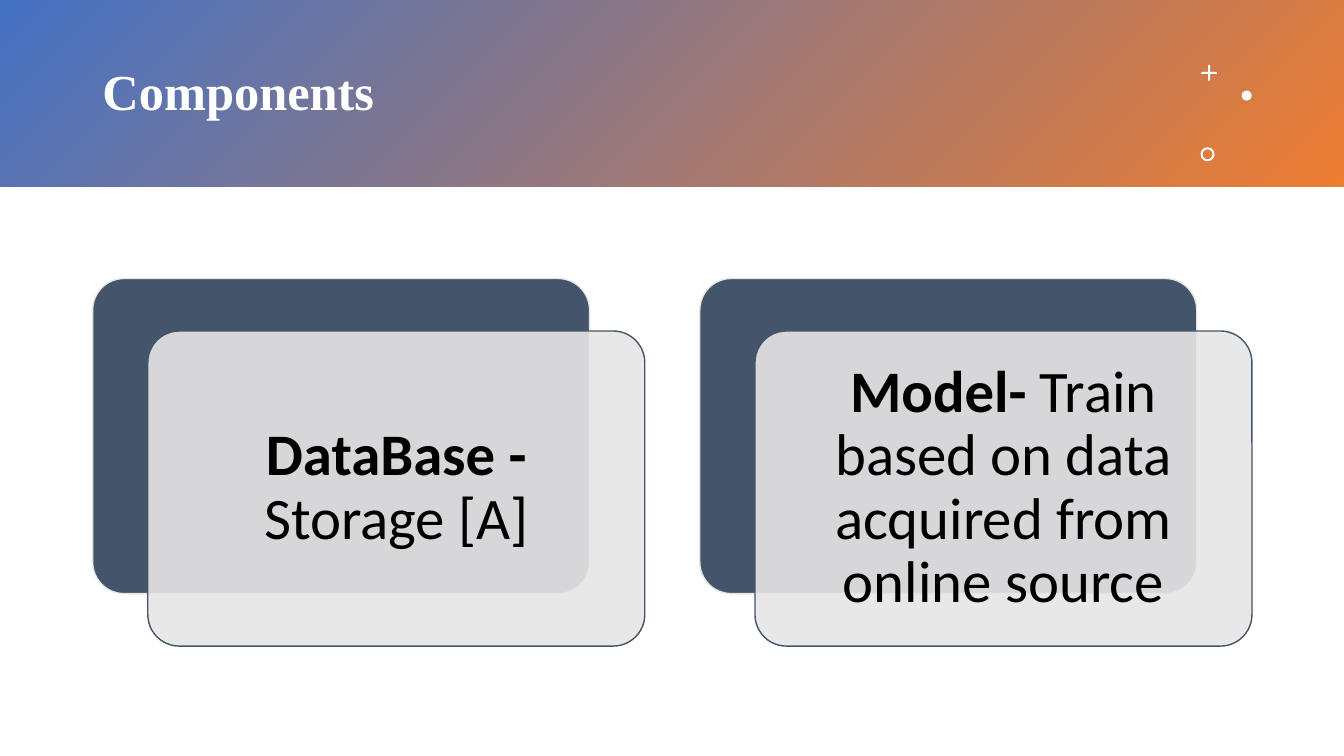
from pptx import Presentation
from pptx.dml.color import RGBColor
from pptx.enum.shapes import MSO_SHAPE
from pptx.enum.text import MSO_ANCHOR, PP_ALIGN
from pptx.oxml.ns import qn
from pptx.util import Pt
from lxml import etree

RECTANGLE, ROUNDED = MSO_SHAPE.RECTANGLE, MSO_SHAPE.ROUNDED_RECTANGLE
CROSS, OVAL, DONUT = MSO_SHAPE.CROSS, MSO_SHAPE.OVAL, MSO_SHAPE.DONUT
MIDDLE = MSO_ANCHOR.MIDDLE
LEFT, CENTER = PP_ALIGN.LEFT, PP_ALIGN.CENTER

SLIDE_WIDTH, SLIDE_HEIGHT = 960, 540
WHITE, BLACK, SLATE, SILVER = "FFFFFF", "000000", "44546A", "E7E6E6"
BAND_COLORS = ("4472C4", "ED7D31")
COMPONENTS = [
    ("DataBase - ", "Storage [A]"),
    ("Model- ", "Train based on data acquired from online source"),
]


def color(hex_value):
    """Return the RGB colour for a hex string."""
    return RGBColor.from_string(hex_value)


def add_box(slide, kind, box, fill=None, line=None, adjustment=None):
    """Add a flat preset shape in a box of left, top, width, height."""
    shape = slide.shapes.add_shape(kind, *(Pt(length) for length in box))
    shape.shadow.inherit = False
    if fill:
        shape.fill.solid()
        shape.fill.fore_color.rgb = color(fill)
    if line:
        shape.line.color.rgb = color(line)
        shape.line.width = Pt(1)
    else:
        shape.line.fill.background()
    if adjustment is not None:
        shape.adjustments[0] = adjustment
    return shape


def set_opacity(shape, percent):
    """Make the solid fill of a shape partly transparent."""
    solid = shape.element.spPr.find(qn("a:solidFill"))
    etree.SubElement(solid[0], qn("a:alpha"), val=str(percent * 1000))


def format_paragraph(paragraph, font_name, size, hex_value, alignment):
    """Set the shared font and spacing of a paragraph."""
    paragraph.alignment = alignment
    paragraph.line_spacing = 0.9
    paragraph.font.name = font_name
    paragraph.font.size = Pt(size)
    paragraph.font.color.rgb = color(hex_value)


def add_header(slide, box, text):
    """Place the gradient band, the title and the ornaments."""
    left, top, width, height = box
    band = add_box(slide, RECTANGLE, box)
    band.fill.gradient()
    band.fill.gradient_angle = 315
    for stop, hex_value in zip(band.fill.gradient_stops, BAND_COLORS):
        stop.color.rgb = color(hex_value)

    title = slide.shapes.title
    band.element.addnext(title.element)
    title.left, title.top = Pt(left + 66), Pt(top + 24)
    title.width, title.height = Pt(774), Pt(86)
    title.text_frame.text = text
    title.text_frame.vertical_anchor = MIDDLE
    paragraph = title.text_frame.paragraphs[0]
    format_paragraph(paragraph, "Times New Roman", 36, WHITE, LEFT)
    paragraph.font.bold = True

    ornaments = [
        (CROSS, 101.8, 46.6, 11, 0.44),
        (OVAL, 73.1, 64.7, 7.2, None),
        (DONUT, 102.5, 105.2, 10, 0.14),
    ]
    for kind, from_right, from_top, size, adjustment in ornaments:
        place = (left + width - from_right, top + from_top, size, size)
        add_box(slide, kind, place, WHITE, adjustment=adjustment)


def add_component(slide, box, name, description):
    """Place a dark card with a translucent text card shifted over it."""
    left, top, width, height = box
    shift_x, shift_y = 39.4, 37.5
    size = (width - shift_x, height - shift_y)
    add_box(slide, ROUNDED, (left, top, *size), SLATE, SILVER, 0.1)
    card = add_box(slide, ROUNDED, (left + shift_x, top + shift_y, *size), SILVER, SLATE, 0.1)
    set_opacity(card, 90)

    frame = card.text_frame
    frame.word_wrap = True
    frame.vertical_anchor = MIDDLE
    frame.margin_left = frame.margin_right = Pt(12.6)
    frame.margin_top = frame.margin_bottom = Pt(12.6)
    paragraph = frame.paragraphs[0]
    format_paragraph(paragraph, "Calibri", 42, BLACK, CENTER)
    for text, bold in ((name, True), (description, False)):
        span = paragraph.add_run()
        span.text = text
        span.font.bold = bold


def main():
    """Build and save the deck."""
    deck = Presentation()
    deck.slide_width, deck.slide_height = Pt(SLIDE_WIDTH), Pt(SLIDE_HEIGHT)
    slide = deck.slides.add_slide(deck.slide_layouts[5])
    add_header(slide, (0, 0, SLIDE_WIDTH, 133.4), "Components")
    left, top, width, height, pitch = 66.2, 198.9, 394.4, 262.6, 433.7
    for index, (name, description) in enumerate(COMPONENTS):
        add_component(slide, (left + index * pitch, top, width, height), name, description)
    deck.save("out.pptx")


if __name__ == "__main__":
    main()
